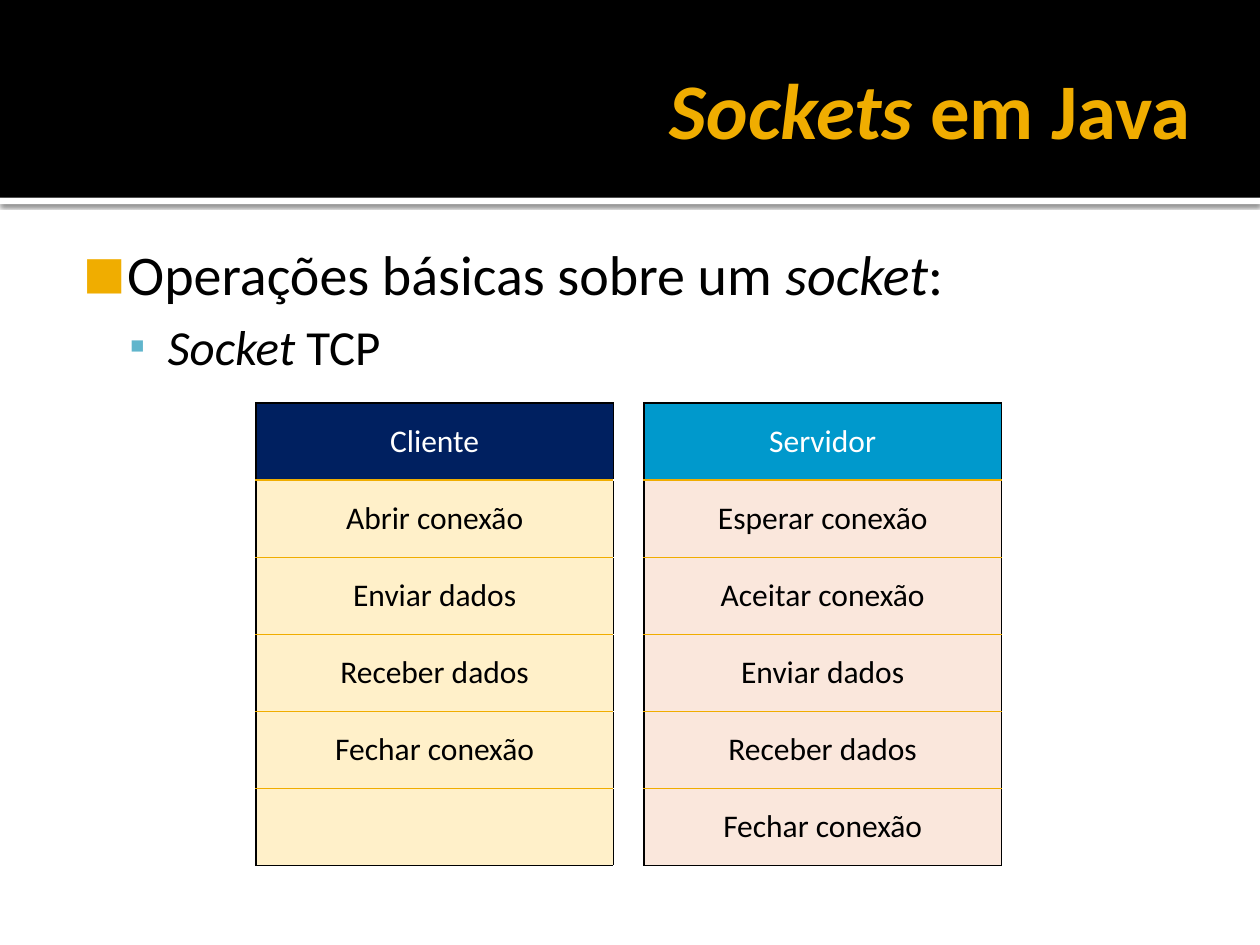
from dataclasses import dataclass

from lxml.etree import SubElement as Sub
from pptx import Presentation
from pptx.dml.color import RGBColor as RGB
from pptx.enum.shapes import MSO_SHAPE as Shape
from pptx.enum.text import MSO_ANCHOR as Anchor, MSO_AUTO_SIZE as Fit, PP_ALIGN as Align
from pptx.oxml import parse_xml
from pptx.oxml.ns import nsdecls, qn
from pptx.util import Inches, Pt


@dataclass(frozen=True)
class Theme:
    font: str = "Calibri"
    black: str = "000000"
    white: str = "FFFFFF"
    gold: str = "F0AD00"
    teal: str = "60B5CC"
    title: float = 45
    body: float = 32
    sub: float = 28
    cell: float = 18
    rule: float = 0.96


@dataclass(frozen=True)
class Bullet:
    words: tuple
    mark: str
    color: str
    scale: int
    size: float
    left: float
    hang: float
    level: int = 0
    before: float = 0


@dataclass(frozen=True)
class Column:
    head: str
    steps: tuple
    dark: str
    pale: str


T = Theme()

# Each piece of text is (words, italic)
TITLE = (("Sockets", True), (" em Java", False))
BULLETS = (
    Bullet((("Operações básicas sobre um ", False), ("socket", True), (":", False)),
           "■", T.gold, 80, T.body, 0.48, 0.35),
    Bullet((("Socket ", True), ("TCP", False)),
           "▪", T.teal, 90, T.sub, 0.8, 0.3, level=1, before=5.6),
)
CLIENT = Column("Cliente", ("Abrir conexão", "Enviar dados", "Receber dados",
                            "Fechar conexão", ""), "002060", "FFF0C9")
SERVER = Column("Servidor", ("Esperar conexão", "Aceitar conexão", "Enviar dados",
                             "Receber dados", "Fechar conexão"), "0099CC", "FAE7DC")


def write(para, text: str, *, size: float, color: str = T.black,
          bold: bool = False, italic: bool = False) -> None:
    run = para.add_run()
    run.text = text
    font = run.font
    font.name, font.size = T.font, Pt(size)
    font.bold, font.italic = bold, italic
    font.color.rgb = RGB.from_string(color)


def inset(frame, left: float, top: float, right: float, foot: float) -> None:
    frame.margin_left, frame.margin_top = Inches(left), Inches(top)
    frame.margin_right, frame.margin_bottom = Inches(right), Inches(foot)
    frame.word_wrap, frame.auto_size = True, Fit.NONE


def band(slide, top: float, high: float, color: str):
    box = slide.shapes.add_shape(Shape.RECTANGLE, 0, Inches(top), Inches(10), Inches(high))
    box.shadow.inherit = False
    box.fill.solid()
    box.fill.fore_color.rgb = RGB.from_string(color)
    box.line.fill.background()
    return box


def shade(box) -> None:
    effects = box._element.spPr.find(qn("a:effectLst"))
    effects.append(parse_xml(
        f'<a:outerShdw {nsdecls("a")} blurRad="{Pt(2.5)}" dist="{Pt(0.8)}" dir="5400000">'
        f'<a:srgbClr val="{T.black}"><a:alpha val="60000"/></a:srgbClr></a:outerShdw>'))


def add_title(slide) -> None:
    title = slide.shapes.title
    title.left, title.top = Inches(0.5), Inches(0.17)
    title.width, title.height = Inches(9), Inches(1.37)
    frame = title.text_frame
    inset(frame, 0.1, 0.05, 0.05, 0.05)
    frame.vertical_anchor = Anchor.MIDDLE
    para = frame.paragraphs[0]
    para.alignment = Align.RIGHT
    for text, italic in TITLE:
        write(para, text, size=T.title, color=T.gold, bold=True, italic=italic)
    # Bring the title in front of the bands
    slide.shapes._spTree.append(title._element)


def add_bullet(para, item: Bullet) -> None:
    para.level = item.level
    props = para._p.get_or_add_pPr()
    props.set("marL", str(Inches(item.left)))
    props.set("indent", str(-Inches(item.hang)))
    Sub(Sub(props, qn("a:buClr")), qn("a:srgbClr"), val=item.color)
    Sub(props, qn("a:buSzPct"), val=str(item.scale * 1000))
    Sub(props, qn("a:buFont"), typeface=T.font)
    Sub(props, qn("a:buChar"), char=item.mark)
    if item.before:
        para.space_before = Pt(item.before)
    for text, italic in item.words:
        write(para, text, size=item.size, italic=italic)


def add_body(slide) -> None:
    box = slide.shapes.add_textbox(Inches(0.47), Inches(1.8), Inches(9), Inches(4.95))
    frame = box.text_frame
    inset(frame, 0.06, 0.1, 0.1, 0.05)
    for num, item in enumerate(BULLETS):
        add_bullet(frame.add_paragraph() if num else frame.paragraphs[0], item)


def edge(cell, top: str, foot: str) -> None:
    props = cell._tc.get_or_add_tcPr()
    sides = (("L", T.black), ("R", T.black), ("T", top), ("B", foot))
    for spot, (side, color) in enumerate(sides):
        props.insert(spot, parse_xml(
            f'<a:ln{side} {nsdecls("a")} w="{Pt(T.rule)}"><a:solidFill>'
            f'<a:srgbClr val="{color}"/></a:solidFill></a:ln{side}>'))


def fill_col(table, col: int, data: Column) -> None:
    last = len(data.steps)
    for row, text in enumerate((data.head, *data.steps)):
        cell = table.cell(row, col)
        cell.vertical_anchor = Anchor.MIDDLE
        cell.fill.solid()
        cell.fill.fore_color.rgb = RGB.from_string(data.pale if row else data.dark)
        edge(cell, T.gold if row else T.black, T.black if row == last else T.gold)
        para = cell.text_frame.paragraphs[0]
        para.alignment = Align.CENTER
        if text:
            write(para, text, size=T.cell, color=T.black if row else T.white)


def add_steps(slide) -> None:
    rows = len(CLIENT.steps) + 1
    table = slide.shapes.add_table(rows, 3, Inches(2.03), Inches(3.2),
                                   Inches(5.92), Inches(3.67)).table
    table.first_row = table.horz_banding = False
    for col, wide in zip(table.columns, (2.84, 0.24, 2.84)):
        col.width = Inches(wide)
    fill_col(table, 0, CLIENT)
    fill_col(table, 2, SERVER)
    # Open gap between the two lists
    for row in range(rows):
        gap = table.cell(row, 1)
        gap.fill.background()
        edge(gap, T.white, T.white)


def main() -> None:
    deck = Presentation()
    deck.slide_width, deck.slide_height = Inches(10), Inches(7.5)
    slide = deck.slides.add_slide(deck.slide_layouts[5])
    # Header
    shade(band(slide, 1.57, 0.05, T.white))
    band(slide, 0, 1.57, T.black)
    add_title(slide)
    # Content
    add_body(slide)
    add_steps(slide)
    deck.save("out.pptx")


if __name__ == "__main__":
    main()
